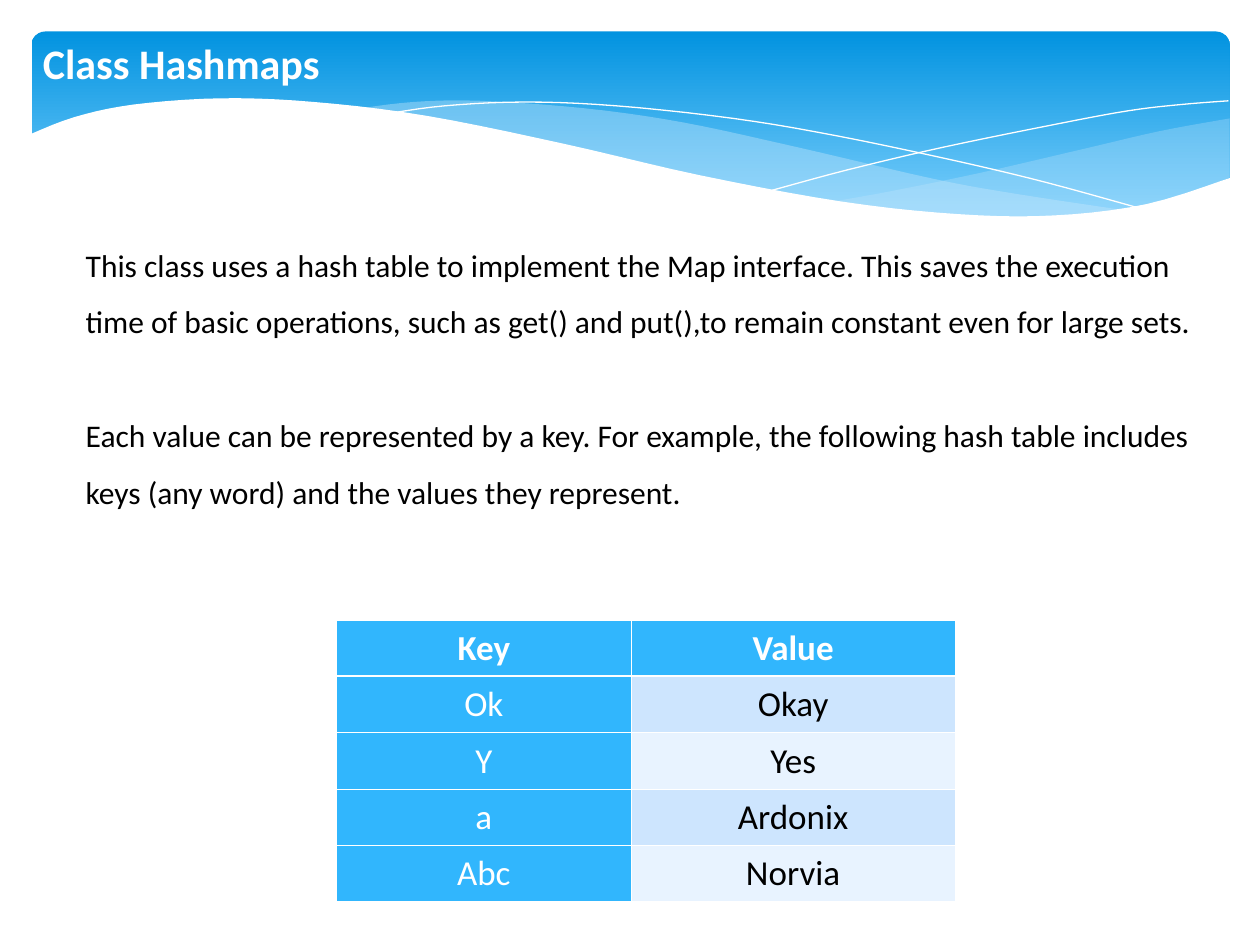
import pptx
import pptx.util
import pptx.dml.color
import pptx.enum.shapes
import pptx.enum.text
import pptx.oxml
import pptx.oxml.ns
from pptx.util import Inches, Pt

FONT = "Calibri"
ALIGN = pptx.enum.text.PP_ALIGN
WHITE, BLACK, SKY = "FFFFFF", "000000", "31B6FD"
BANDS = ["CDE5FE", "E8F3FF"]

TITLE = "Class Hashmaps"
EXPLANATION = [
    "This class uses a hash table to implement the Map interface. This saves the "
    "execution time of basic operations, such as get() and put(),to remain constant "
    "even for large sets.",
    "Each value can be represented by a key. For example, the following hash table "
    "includes keys (any word) and the values they represent.",
]
HASH_TABLE = [("Key", "Value"), ("Ok", "Okay"), ("Y", "Yes"), ("a", "Ardonix"), ("Abc", "Norvia")]
COLUMN_WIDTHS, ROW_HEIGHT = [2.34, 2.57], 0.35

# Each banner wave: smooth curves by their knots, fill, opacity in percent.
# A wave without a fill is an open white hairline.
WAVES = [
    ([[(9.76, 0.94), (9.21, 1.04), (8.61, 1.18), (7.79, 1.37), (7.06, 1.52), (6.61, 1.6)],
      [(6.61, 1.6), (7.18, 1.67), (7.81, 1.72), (8.44, 1.71), (8.97, 1.65), (9.42, 1.54),
       (9.76, 1.41)]], "C6E7FC", 29),
    ([[(8.93, 1.67), (8.07, 1.54), (7.41, 1.42), (6.29, 1.16), (5.41, 0.97), (4.64, 0.86),
       (3.8, 0.8), (3.28, 0.81), (2.86, 0.86)],
      [(2.86, 0.86), (3.62, 0.97), (4.49, 1.16), (5.66, 1.43), (6.5, 1.58), (7.22, 1.68),
       (7.96, 1.73), (8.48, 1.72), (8.93, 1.67)]], "C6E7FC", 40),
    ([[(3.09, 0.9), (3.53, 0.84), (4.16, 0.81), (4.89, 0.84), (5.82, 0.94), (6.65, 1.08),
       (7.6, 1.28), (8.31, 1.45), (9.07, 1.66)]], None, 100),
    ([[(6.13, 1.51), (6.72, 1.35), (7.48, 1.17), (8.36, 0.99), (8.95, 0.88), (9.37, 0.83),
       (9.75, 0.8)]], None, 100),
    ([[(9.77, 1.41), (9.1, 1.62), (8.37, 1.71), (7.61, 1.7), (6.68, 1.6), (5.55, 1.39),
       (4.47, 1.14), (3.39, 0.92), (2.5, 0.81), (1.76, 0.78), (1.06, 0.83), (0.59, 0.93),
       (0.23, 1.07)],
      [(0.23, 2.24), (9.77, 2.24)]], WHITE, 100),
]


def rgb(value):
    return pptx.dml.color.RGBColor.from_string(value)


def set_all(target, formats):
    for name, value in formats.items():
        setattr(target, name, value)


def smooth(knots, steps=5):
    """Return points on a Catmull-Rom curve through the knots."""
    padded = [knots[0], *knots, knots[-1]]
    points = [knots[0]]
    for a, b, c, d in zip(padded, padded[1:], padded[2:], padded[3:]):
        for step in range(1, steps + 1):
            t = step / steps
            points.append(tuple(
                (2 * q + (r - p) * t + (2 * p - 5 * q + 4 * r - s) * t ** 2
                 + (3 * q - p - 3 * r + s) * t ** 3) / 2
                for p, q, r, s in zip(a, b, c, d)))
    return points


def add_wave(shapes, curves, fill, opacity):
    points = [(Inches(x), Inches(y)) for knots in curves for x, y in smooth(knots)]
    builder = shapes.build_freeform(*points[0], scale=1.0)
    builder.add_line_segments(points[1:], close=fill is not None)
    wave = builder.convert_to_shape()
    wave.shadow.inherit = False
    if fill is None:
        wave.fill.background()
        wave.line.color.rgb = rgb(WHITE)
        wave.line.width = Pt(0)
        return
    wave.line.fill.background()
    wave.fill.solid()
    wave.fill.fore_color.rgb = rgb(fill)
    if opacity < 100:
        color = wave.fill._xPr.find(".//" + pptx.oxml.ns.qn("a:srgbClr"))
        alpha = pptx.oxml.parse_xml(f'<a:alpha {pptx.oxml.ns.nsdecls("a")} val="{opacity * 1000}"/>')
        color.append(alpha)


def add_banner(shapes):
    band = shapes.add_shape(pptx.enum.shapes.MSO_SHAPE.ROUNDED_RECTANGLE,
                            Inches(0.25), Inches(0.25), Inches(9.51), Inches(1.56))
    band.adjustments[0] = 0.07
    band.shadow.inherit = False
    band.line.fill.background()
    band.fill.gradient()
    band.fill.gradient_angle = 270
    for stop, color in zip(band.fill.gradient_stops, ["0293E0", "83D3FE"]):
        stop.color.rgb = rgb(color)
    for wave in WAVES:
        add_wave(shapes, *wave)


def write(paragraph, text, size, color, bold=False, **formats):
    run = paragraph.add_run()
    run.text = text
    set_all(run.font, {"name": FONT, "size": Pt(size), "bold": bold})
    run.font.color.rgb = rgb(color)
    set_all(paragraph, formats)


def place(placeholder, left, top, width, height):
    """Move a placeholder above the banner and give it plain text settings."""
    set_all(placeholder, {"left": Inches(left), "top": Inches(top),
                          "width": Inches(width), "height": Inches(height)})
    set_all(placeholder.text_frame, {
        "word_wrap": True, "auto_size": pptx.enum.text.MSO_AUTO_SIZE.NONE,
        "vertical_anchor": pptx.enum.text.MSO_ANCHOR.TOP})
    tree = placeholder._element.getparent()
    tree.append(placeholder._element)
    return placeholder.text_frame


def add_explanation(frame):
    for index, text in enumerate(EXPLANATION):
        paragraph = frame.add_paragraph() if index else frame.paragraphs[0]
        properties = paragraph._p.get_or_add_pPr()
        properties.set("marL", "0")
        properties.set("indent", "0")
        properties.append(pptx.oxml.parse_xml(f'<a:buNone {pptx.oxml.ns.nsdecls("a")}/>'))
        write(paragraph, text, 18, BLACK, alignment=ALIGN.LEFT, line_spacing=1.5,
              space_before=Pt(32.5 if index else 0))


def set_borders(cell, widths):
    properties = cell._tc.get_or_add_tcPr()
    for side, width in widths.items():
        properties.append(pptx.oxml.parse_xml(
            f'<a:ln{side} {pptx.oxml.ns.nsdecls("a")} w="{Pt(width)}">'
            f'<a:solidFill><a:srgbClr val="{WHITE}"/></a:solidFill></a:ln{side}>'))


def add_hash_table(shapes):
    table = shapes.add_table(len(HASH_TABLE), len(COLUMN_WIDTHS), Inches(2.67), Inches(4.92),
                             Inches(sum(COLUMN_WIDTHS)),
                             Inches(ROW_HEIGHT * len(HASH_TABLE))).table
    for column, width in zip(table.columns, COLUMN_WIDTHS):
        column.width = Inches(width)
    for r, entry in enumerate(HASH_TABLE):
        table.rows[r].height = Inches(ROW_HEIGHT)
        for c, text in enumerate(entry):
            cell = table.cell(r, c)
            heading = r == 0 or c == 0
            set_all(cell, {"margin_left": Inches(0.08), "margin_right": Inches(0.08),
                           "margin_top": Inches(0.05), "margin_bottom": Inches(0.05)})
            set_borders(cell, {"L": 0.45, "R": 0.45, "T": 1.47 if r == 1 else 0.45,
                               "B": 1.47 if r == 0 else 0.45})
            cell.fill.solid()
            cell.fill.fore_color.rgb = rgb(SKY if heading else BANDS[(r - 1) % 2])
            write(cell.text_frame.paragraphs[0], text, 20, WHITE if heading else BLACK,
                  bold=r == 0, alignment=ALIGN.CENTER, line_spacing=1.02)


def main():
    deck = pptx.Presentation()
    set_all(deck, {"slide_width": Inches(10), "slide_height": Inches(7.5)})
    slide = deck.slides.add_slide(deck.slide_layouts[1])
    title, body = slide.placeholders
    add_banner(slide.shapes)
    heading = place(title, 0.24, 0.25, 2.88, 0.5)
    write(heading.paragraphs[0], TITLE, 24, WHITE, bold=True, alignment=ALIGN.LEFT)
    add_explanation(place(body, 0.58, 1.75, 9.08, 2.8))
    add_hash_table(slide.shapes)
    deck.save("out.pptx")


if __name__ == "__main__":
    main()
